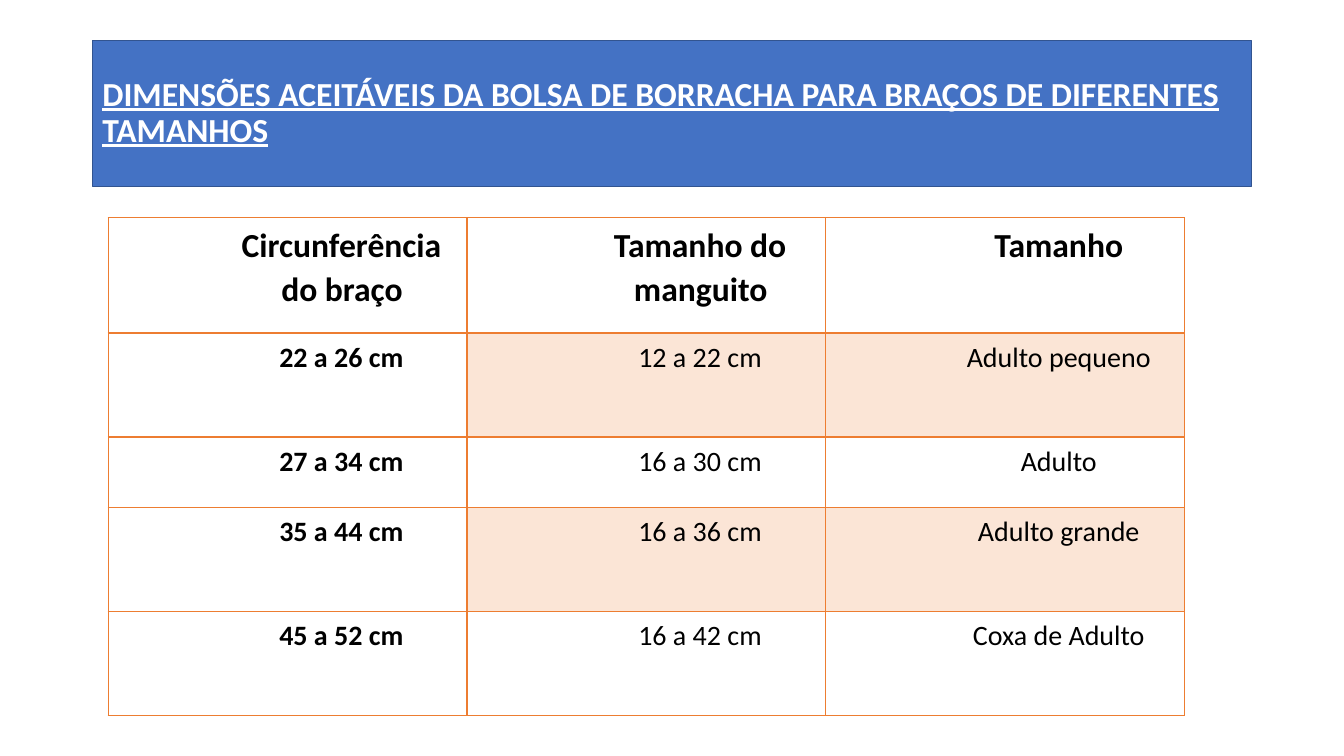
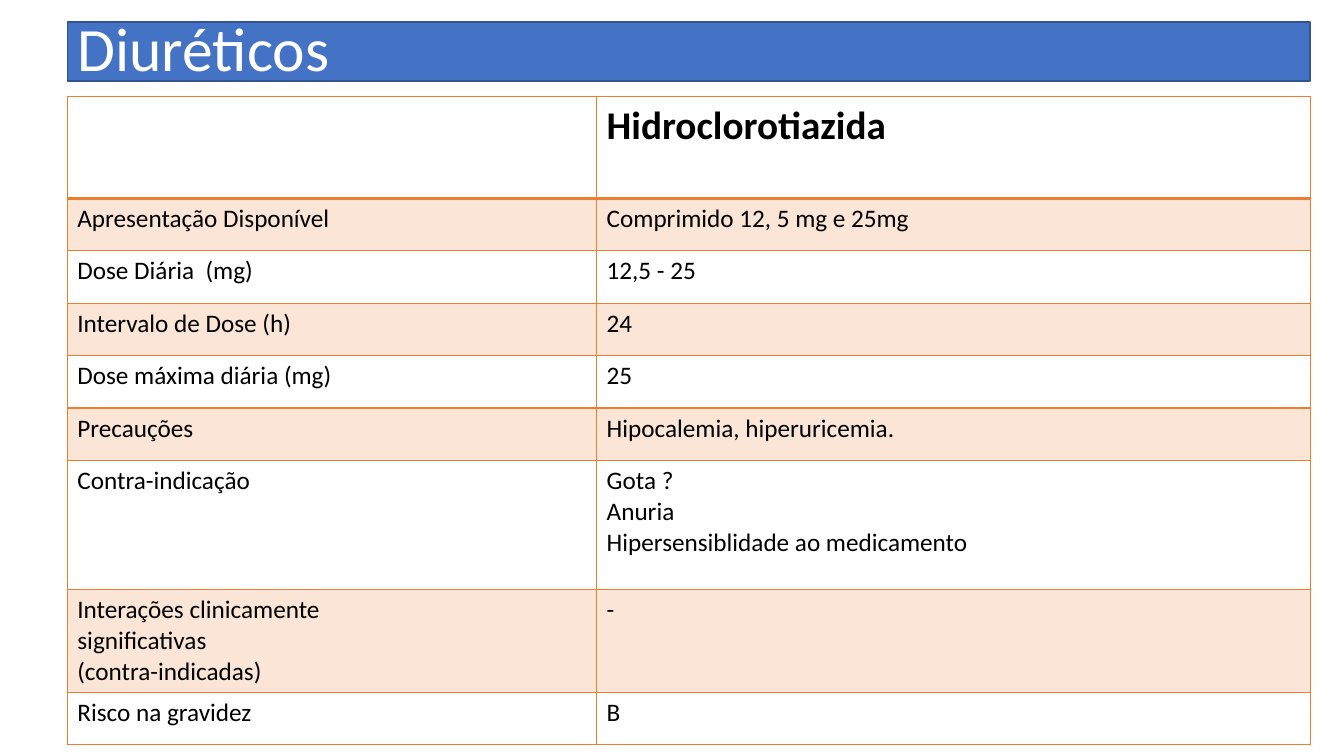
from lxml import etree
from pptx import Presentation
from pptx.dml.color import RGBColor
from pptx.enum.shapes import MSO_SHAPE
from pptx.enum.text import MSO_ANCHOR, PP_ALIGN
from pptx.oxml.ns import qn
from pptx.util import Cm, Pt

RECT = MSO_SHAPE.RECTANGLE
MIDDLE = MSO_ANCHOR.MIDDLE
LEFT, CENTER = PP_ALIGN.LEFT, PP_ALIGN.CENTER

BLUE = RGBColor(0x44, 0x72, 0xC4)
NAVY = RGBColor(0x32, 0x54, 0x90)
ORANGE = RGBColor(0xED, 0x7D, 0x31)
PEACH = RGBColor(0xFB, 0xE5, 0xD6)
WHITE = RGBColor(0xFF, 0xFF, 0xFF)
BLACK = RGBColor(0, 0, 0)
FONT = "Calibri"
THIN, THICK = Pt(0.96), Pt(1.98)

CUFFS = {
    "title": "DIMENSÕES ACEITÁVEIS DA BOLSA DE BORRACHA PARA BRAÇOS DE DIFERENTES TAMANHOS",
    "band": (2.33, 1.02, 29.21, 3.68),
    "font": (24, True),
    "at": (2.73, 5.49),
    "cols": [9.04] * 3,
    "rows": [2.9, 2.62, 1.78, 2.62, 2.62],
    "sizes": (24, 20),
    "label": True,
    "shade": 1,
    "inset": (0.2, 0.13),
    "align": CENTER,
    "indent": (2.74, -0.03),
    "space": 1.07,
    "cells": [
        ("Circunferência do braço", "Tamanho do manguito", "Tamanho"),
        ("22 a 26 cm", "12 a 22 cm", "Adulto pequeno"),
        ("27 a 34 cm", "16 a 30 cm", "Adulto"),
        ("35 a 44 cm", "16 a 36 cm", "Adulto grande"),
        ("45 a 52 cm", "16 a 42 cm", "Coxa de Adulto"),
    ],
}
DRUG = {
    "title": "Diuréticos",
    "band": (1.7, 0.56, 31.32, 1.48),
    "font": (44, False),
    "at": (1.7, 2.44),
    "cols": [13.34, 17.98],
    "rows": [2.56] + [1.32] * 5 + [3.26, 2.58, 1.32],
    "sizes": (28, 18),
    "label": False,
    "shade": 0,
    "inset": (0.25, 0.13),
    "align": LEFT,
    "indent": (0, 0),
    "space": 1.0,
    "cells": [
        ("", "Hidroclorotiazida"),
        ("Apresentação Disponível", "Comprimido 12, 5 mg e 25mg"),
        ("Dose Diária  (mg)", "12,5 - 25"),
        ("Intervalo de Dose (h)", "24"),
        ("Dose máxima diária (mg)", "25"),
        ("Precauções", "Hipocalemia, hiperuricemia."),
        ("Contra-indicação", "Gota ?\nAnuria\nHipersensiblidade ao medicamento"),
        ("Interações clinicamente\nsignificativas\n(contra-indicadas)", "-"),
        ("Risco na gravidez", "B"),
    ],
}


def style(para, size, bold, color):
    for run in para.runs:
        font = run.font
        font.name, font.size, font.bold = FONT, Pt(size), bold
        font.color.rgb = color


def add_band(slide, data):
    band = slide.shapes.add_shape(RECT, *map(Cm, data["band"]))
    band.shadow.inherit = False
    band.fill.solid()
    band.fill.fore_color.rgb = BLUE
    band.line.color.rgb = NAVY
    band.line.width = Pt(1)
    frame = band.text_frame
    frame.word_wrap = True
    frame.vertical_anchor = MIDDLE
    frame.text = data["title"]
    para = frame.paragraphs[0]
    para.alignment = LEFT
    para.line_spacing = 0.9
    size, bold = data["font"]
    style(para, size, bold, WHITE)
    para.runs[0].font.underline = bold


def set_edges(cell, row):
    widths = {
        "a:lnL": THIN,
        "a:lnR": THIN,
        "a:lnT": THICK if row == 1 else THIN,
        "a:lnB": THICK if row == 0 else THIN,
    }
    props = cell._tc.get_or_add_tcPr()
    for spot, (tag, width) in enumerate(widths.items()):
        edge = etree.Element(qn(tag), w=str(width))
        fill = etree.SubElement(edge, qn("a:solidFill"))
        etree.SubElement(fill, qn("a:srgbClr"), val=str(ORANGE))
        props.insert(spot, edge)


def fill_cell(cell, text, row, col, data):
    side, top = map(Cm, data["inset"])
    cell.margin_left = cell.margin_right = side
    cell.margin_top = cell.margin_bottom = top
    if row % 2 and col >= data["shade"]:
        cell.fill.solid()
        cell.fill.fore_color.rgb = PEACH
    else:
        cell.fill.background()
    set_edges(cell, row)
    cell.text_frame.text = text
    head, body = data["sizes"]
    size = body if row else head
    bold = row == 0 or (col == 0 and data["label"])
    start, first = map(Cm, data["indent"])
    for para in cell.text_frame.paragraphs:
        para.alignment = data["align"]
        para.line_spacing = data["space"]
        props = para._p.get_or_add_pPr()
        props.set("marL", str(start))
        props.set("indent", str(first))
        style(para, size, bold, BLACK)


def add_grid(slide, data):
    cols, rows = data["cols"], data["rows"]
    left, top = data["at"]
    place = map(Cm, (left, top, sum(cols), sum(rows)))
    table = slide.shapes.add_table(len(rows), len(cols), *place).table
    table.first_row = table.horz_banding = False
    for col, width in zip(table.columns, cols):
        col.width = Cm(width)
    for row, height in zip(table.rows, rows):
        row.height = Cm(height)
    for row, texts in enumerate(data["cells"]):
        for col, text in enumerate(texts):
            fill_cell(table.cell(row, col), text, row, col, data)


def main():
    deck = Presentation()
    deck.slide_width, deck.slide_height = Cm(33.87), Cm(19.05)
    for data in (CUFFS, DRUG):
        slide = deck.slides.add_slide(deck.slide_layouts[6])
        add_band(slide, data)
        add_grid(slide, data)
    deck.save("out.pptx")


if __name__ == "__main__":
    main()
